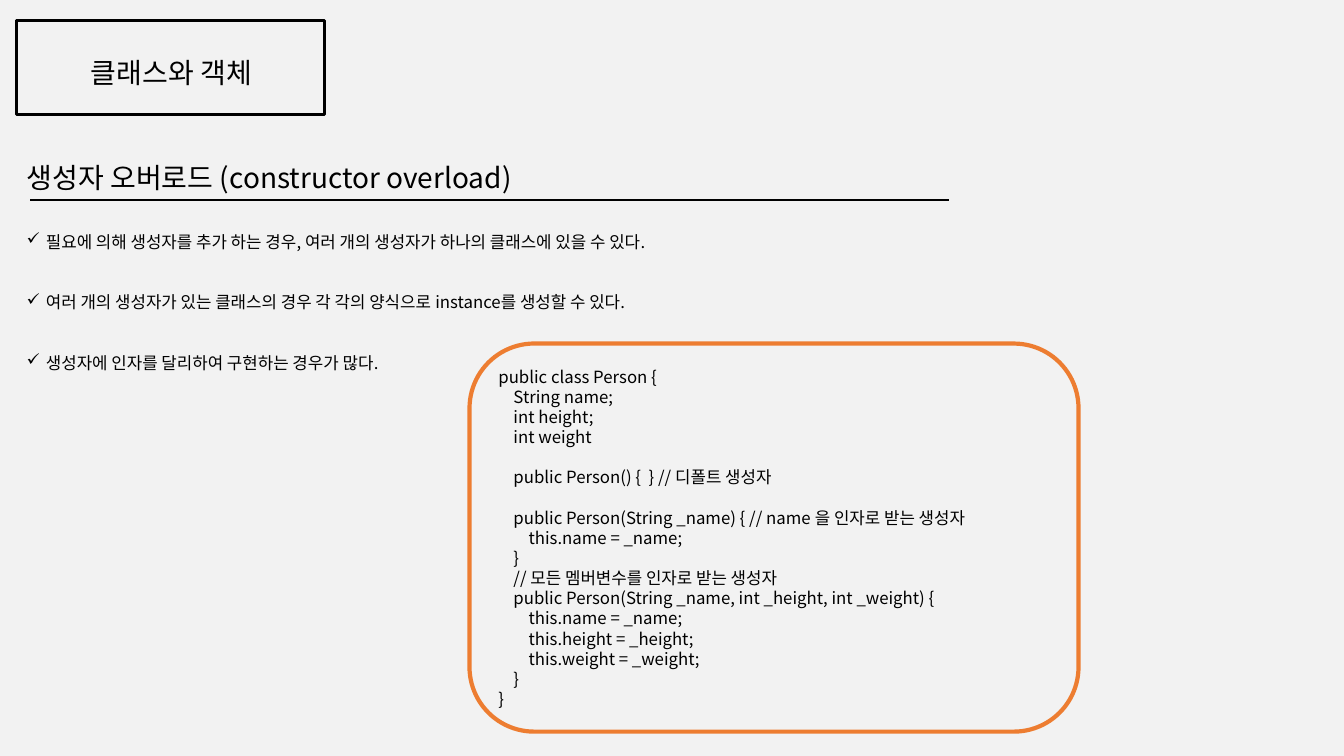
from lxml import etree
from pptx import Presentation
from pptx.dml.color import RGBColor
from pptx.enum.shapes import MSO_CONNECTOR as Connector, MSO_SHAPE as Shape
from pptx.enum.text import MSO_ANCHOR as Anchor, PP_ALIGN as Align
from pptx.oxml.ns import qn
from pptx.util import Inches, Pt

COLORS = {"background": "F2F2F2", "ink": "000000", "accent": "ED7D31"}
FONT = "Noto Sans CJK KR"
COLUMNS, ROWS = 160, 90
CODE_INDENT = Inches(0.15)
BULLET_INDENT = Inches(0.19)

BULLETS = [
    "필요에 의해 생성자를 추가 하는 경우, 여러 개의 생성자가 하나의 클래스에 있을 수 있다.",
    "여러 개의 생성자가 있는 클래스의 경우 각 각의 양식으로 instance를 생성할 수 있다.",
    "생성자에 인자를 달리하여 구현하는 경우가 많다.",
]

# Blocks of code, each line with its nesting level
CODE_BLOCKS = [
    [
        (0, "public class Person {"),
        (1, "String name;"),
        (1, "int height;"),
        (1, "int weight"),
    ],
    [(1, "public Person() {  } // 디폴트 생성자")],
    [
        (1, "public Person(String _name) { // name 을 인자로 받는 생성자"),
        (2, "this.name = _name;"),
        (1, "}"),
        (1, "// 모든 멤버변수를 인자로 받는 생성자"),
        (1, "public Person(String _name, int _height, int _weight) {"),
        (2, "this.name = _name;"),
        (2, "this.height = _height;"),
        (2, "this.weight = _weight;"),
        (1, "}"),
        (0, "}"),
    ],
]


def color(name):
    return RGBColor.from_string(COLORS[name])


def write(frame, text, size=12, align=Align.LEFT, spacing=None, before=0,
          indent=0, bullet=None):
    """Add one formatted paragraph to a text frame."""
    first = frame.paragraphs[0]
    paragraph = frame.add_paragraph() if first.runs else first
    paragraph.alignment = align
    paragraph.space_before = Pt(before)
    if spacing:
        paragraph.line_spacing = spacing
    properties = paragraph._p.get_or_add_pPr()
    properties.set("marL", str(int(indent)))
    properties.set("indent", str(-int(indent) if bullet else 0))
    if bullet:
        etree.SubElement(properties, qn("a:buChar"), char=bullet)
    run = paragraph.add_run()
    run.text = text
    run.font.size = Pt(size)
    run.font.name = FONT
    run.font.color.rgb = color("ink")
    for tag in ("a:ea", "a:cs"):
        etree.SubElement(run.font._element, qn(tag), typeface=FONT)


class SlideBuilder:
    """Places styled elements on a grid of 160 columns by 90 rows."""

    def __init__(self, presentation):
        self.cell_width = presentation.slide_width / COLUMNS
        self.cell_height = presentation.slide_height / ROWS
        self.slide = presentation.slides.add_slide(presentation.slide_layouts[6])
        self.shapes = self.slide.shapes
        fill = self.slide.background.fill
        fill.solid()
        fill.fore_color.rgb = color("background")

    def start_group(self):
        self.shapes = self.slide.shapes.add_group_shape().shapes

    def end_group(self):
        self.shapes = self.slide.shapes

    def place(self, *lengths):
        cells = (self.cell_width, self.cell_height) * 2
        return [round(length * cell) for length, cell in zip(lengths, cells)]

    def text_box(self, left, top, width, height, anchor=Anchor.TOP):
        box = self.shapes.add_textbox(*self.place(left, top, width, height))
        frame = box.text_frame
        frame.word_wrap = True
        frame.vertical_anchor = anchor
        return frame

    def outline(self, kind, left, top, width, height, line="ink", weight=2):
        shape = self.shapes.add_shape(kind, *self.place(left, top, width, height))
        shape.shadow.inherit = False
        shape.fill.background()
        shape.line.color.rgb = color(line)
        shape.line.width = Pt(weight)
        frame = shape.text_frame
        frame.word_wrap = True
        frame.vertical_anchor = Anchor.MIDDLE
        return frame

    def rule(self, left, right, row, weight):
        ends = self.place(left, row, right, row)
        connector = self.shapes.add_connector(Connector.STRAIGHT, *ends)
        connector.line.color.rgb = color("ink")
        connector.line.width = Pt(weight)
        etree.SubElement(connector._element.spPr, qn("a:effectLst"))


def main():
    presentation = Presentation()
    presentation.slide_width = Inches(13.33)
    presentation.slide_height = Inches(7.5)
    builder = SlideBuilder(presentation)

    # Chapter title in its frame
    builder.start_group()
    title = builder.text_box(3, 6, 34.8, 5.3, Anchor.MIDDLE)
    write(title, "클래스와 객체", size=20, align=Align.CENTER)
    builder.outline(Shape.RECTANGLE, 2, 2.4, 36.6, 11.2)

    # Section heading, bullets and rule
    builder.start_group()
    heading = builder.text_box(2, 18.5, 79.6, 5.3)
    write(heading, "생성자 오버로드 (constructor overload)", size=20)
    points = builder.text_box(2, 25.8, 113.4, 19)
    for index, text in enumerate(BULLETS):
        write(points, text, align=Align.JUSTIFY, spacing=1.5,
              before=21.6 if index else 0, indent=BULLET_INDENT, bullet="✓")
    builder.rule(3.6, 113, 23.8, weight=1.25)
    builder.end_group()

    # Code sample
    code = builder.outline(Shape.ROUNDED_RECTANGLE, 55.9, 40.9, 72.5, 46.2,
                           line="accent", weight=3)
    for block_index, block in enumerate(CODE_BLOCKS):
        for line_index, (level, text) in enumerate(block):
            opens_block = block_index > 0 and line_index == 0
            write(code, text, before=14.4 if opens_block else 0,
                  indent=level * CODE_INDENT)

    presentation.save("out.pptx")


if __name__ == "__main__":
    main()
